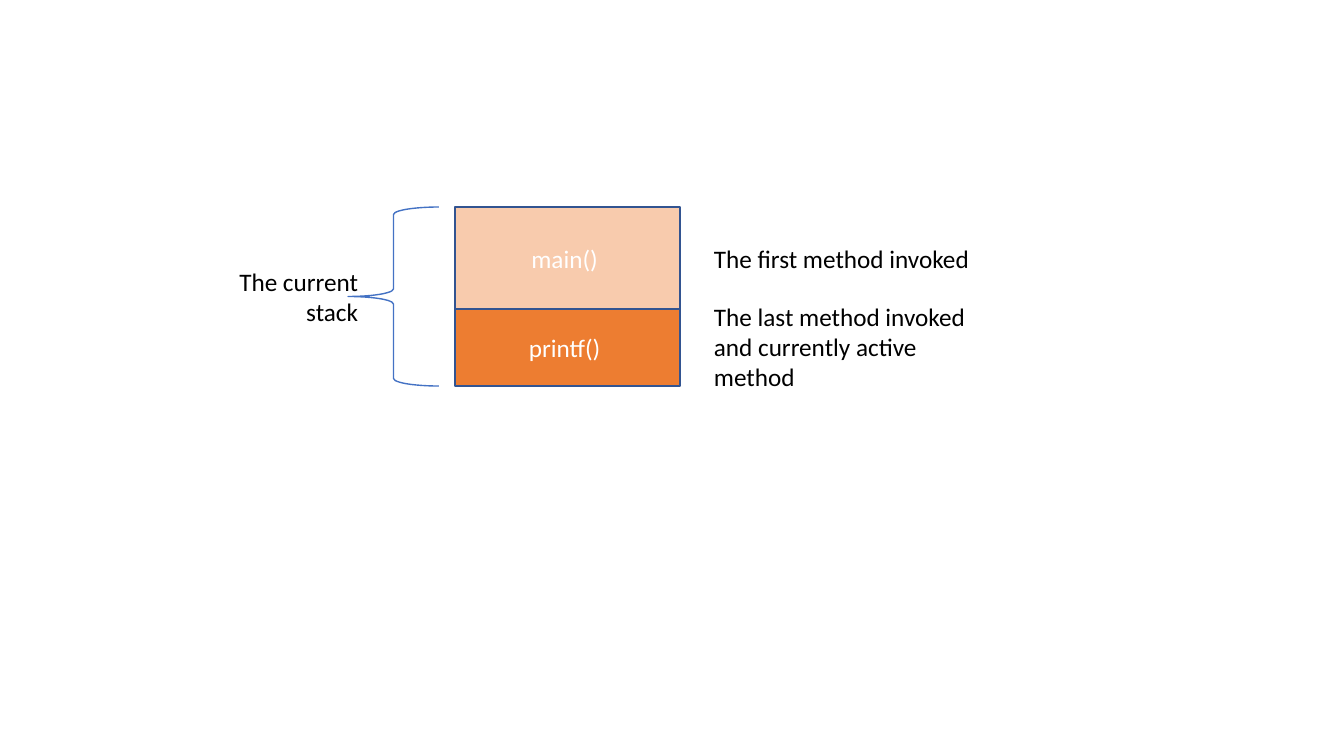
"""Build a slide that shows a call stack with two methods."""
from pptx import Presentation
from pptx.dml.color import RGBColor
from pptx.enum.shapes import MSO_SHAPE
from pptx.enum.text import MSO_ANCHOR, PP_ALIGN
from pptx.util import Pt

PX = 914400 / 100.8
COLORS = {
    "main": "F8CBAD",
    "printf": "ED7D31",
    "edge": "325491",
    "brace": "4472C4",
    "white": "FFFFFF",
    "black": "000000",
}
FRAMES = [("main() ", "main", 102), ("printf() ", "printf", 77)]
LABELS = [
    ("The current stack", (219, 261, 149, 72), PP_ALIGN.RIGHT, True),
    ("The first method invoked", (704, 238, 278, 40), PP_ALIGN.LEFT, False),
    ("The last method invoked and currently active method",
     (704, 296, 278, 102), PP_ALIGN.LEFT, True),
]
LEFT, TOP, WIDTH = 455, 207, 225
BRACE_LEFT, BRACE_WIDTH = 348, 91


def emu(*sizes):
    return [round(size * PX) for size in sizes]


def color(name):
    return RGBColor.from_string(COLORS[name])


def write(shape, text, align, ink):
    shape.text_frame.text = text
    para = shape.text_frame.paragraphs[0]
    para.alignment = align
    font = para.runs[0].font
    font.name, font.size = "Calibri", Pt(18)
    font.color.rgb = color(ink)


def draw(slide, kind, box, edge):
    shape = slide.shapes.add_shape(kind, *emu(*box))
    shape.shadow.inherit = False
    shape.line.color.rgb = color(edge)
    shape.line.width = Pt(1)
    return shape


def main():
    deck = Presentation()
    deck.slide_width, deck.slide_height = emu(1344, 756)
    slide = deck.slides.add_slide(deck.slide_layouts[6])

    top = TOP
    for text, fill, height in FRAMES:
        frame = draw(slide, MSO_SHAPE.RECTANGLE, (LEFT, top, WIDTH, height), "edge")
        frame.fill.solid()
        frame.fill.fore_color.rgb = color(fill)
        frame.text_frame.vertical_anchor = MSO_ANCHOR.MIDDLE
        write(frame, text, PP_ALIGN.CENTER, "white")
        top += height

    span = (BRACE_LEFT, TOP, BRACE_WIDTH, top - TOP)
    brace = draw(slide, MSO_SHAPE.LEFT_BRACE, span, "brace")
    brace.fill.background()

    for text, box, align, wrap in LABELS:
        label = slide.shapes.add_textbox(*emu(*box))
        label.text_frame.word_wrap = wrap
        write(label, text, align, "black")

    deck.save("out.pptx")


if __name__ == "__main__":
    main()
